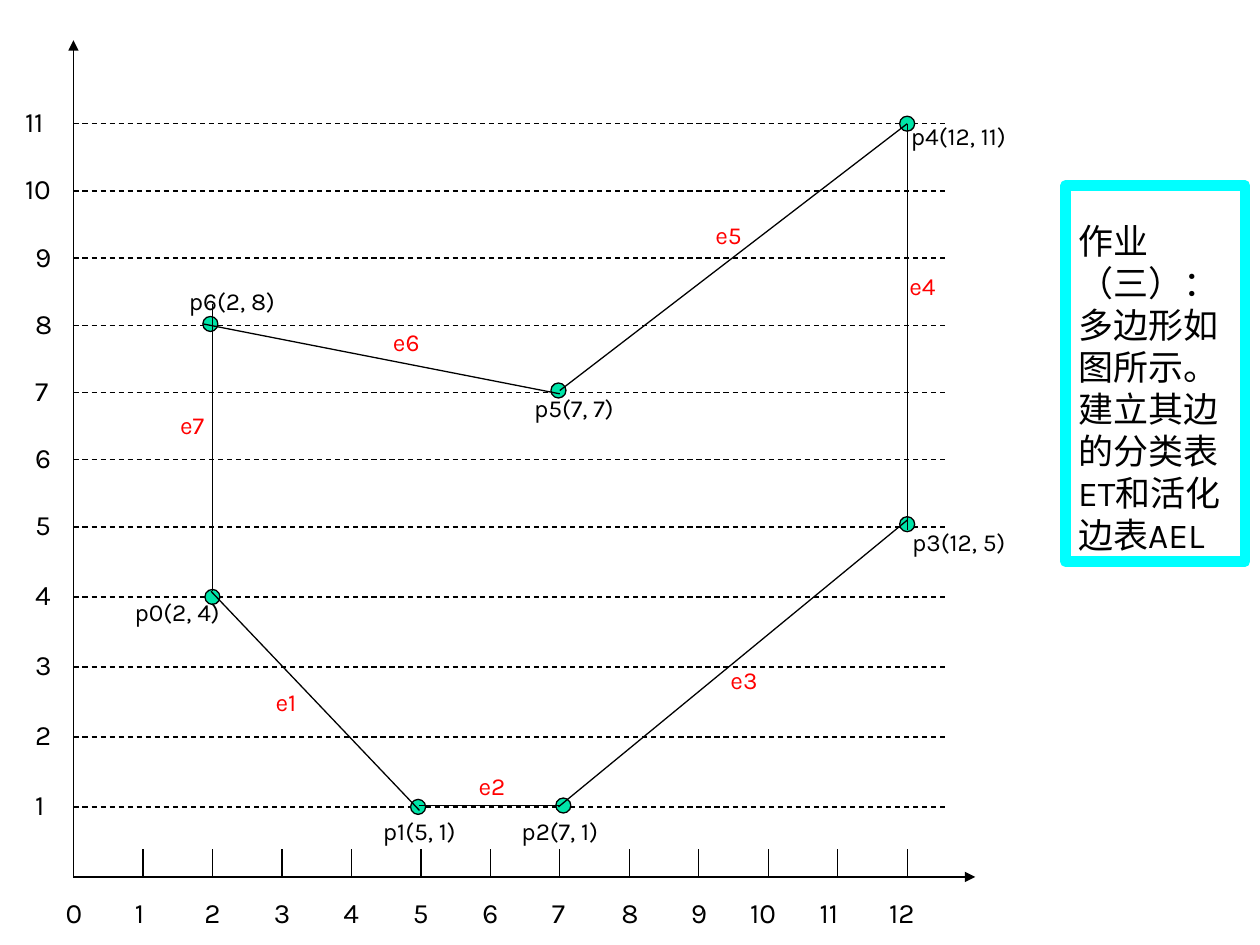
from lxml.etree import SubElement
from pptx import Presentation
from pptx.dml.color import RGBColor
from pptx.enum.dml import MSO_LINE_DASH_STYLE as Dash
from pptx.enum.shapes import MSO_CONNECTOR as Connector, MSO_SHAPE as Shape
from pptx.enum.text import MSO_ANCHOR as Anchor, PP_ALIGN as Align
from pptx.oxml.ns import qn
from pptx.util import Pt

COLOURS = {"ink": "000000", "edge": "FF0000", "vertex": "00E4A8", "frame": "00FFFF"}
FONT = "Karla"
COLUMN_STEP = 39.7
LOWER_STEP, UPPER_STEP, STEP_CHANGE = 40, 38.4, 5
COLUMNS, ROWS = 12, 11
MARKER = 8.6
TASK = "作业（三）：多边形如图所示。建立其边的分类表ET和活化边表AEL"

# Each vertex: text, position on the grid, label offset, label width.
VERTICES = [
    ("p0(2, 4)", (2, 4), (-51.6, -3.4), 73.4),
    ("p1(5, 1)", (4.96, 1), (-27.2, 1.9), 73.4),
    ("p2(7, 1)", (7.05, 1.02), (-31, 2.7), 73.4),
    ("p3(12, 5)", (12, 5.04), (-4.3, -2.2), 73.4),
    ("p4(12, 11)", (12, 11), (-5, -5.2), 90.7),
    ("p5(7, 7)", (6.98, 7.03), (-21, -2.2), 90.7),
    ("p6(2, 8)", (1.97, 8.02), (-19.4, -25.3), 73.4),
]
# Each edge: text, start and end on the grid, label offset from its middle.
EDGES = [
    ("e1", (1.98, 4.08), (4.98, 0.95), (-29.7, -11.6)),
    ("e2", (4.98, 1.02), (7, 1.02), (-13.4, -23.1)),
    ("e3", (6.98, 1), (12, 5.1), (-8.4, -2.6)),
    ("e4", (12, 11), (12, 4.95), (-5.8, -35.7)),
    ("e5", (7, 7.03), (12, 11), (-17.4, -24.6)),
    ("e6", (1.87, 8.02), (7, 6.98), (-0.6, -21.5)),
    ("e7", (2, 4.08), (2, 8.32), (-25.6, -25.2)),
]


def colour(name):
    """Return the named colour."""
    return RGBColor.from_string(COLOURS[name])


def add_text(slide, text, box, size=14, ink="ink", anchor=Anchor.TOP, spacing=None):
    """Add a wrapped text box and return it."""
    shape = slide.shapes.add_textbox(*map(Pt, box))
    frame = shape.text_frame
    frame.word_wrap = True
    frame.vertical_anchor = anchor
    paragraph = frame.paragraphs[0]
    paragraph.alignment = Align.LEFT
    if spacing:
        paragraph.line_spacing = Pt(spacing)
    run = paragraph.add_run()
    run.text = text
    run.font.name = FONT
    run.font.size = Pt(size)
    run.font.color.rgb = colour(ink)
    return shape


def add_line(slide, start, end, dashed=False, arrow=False):
    """Add a thin straight line, optionally dashed or with an arrow at its end."""
    line = slide.shapes.add_connector(Connector.STRAIGHT, *map(Pt, (*start, *end)))
    line.line.width = Pt(0.75)
    line.line.color.rgb = colour("ink")
    if dashed:
        line.line.dash_style = Dash.DASH
    if arrow:
        SubElement(line.line._get_or_add_ln(), qn("a:tailEnd"), type="triangle")
    SubElement(line._element.spPr, qn("a:effectLst"))


def grid_point(box, position):
    """Convert a grid position to slide points inside the box."""
    left, top, width, height = box
    column, row = position
    rise = LOWER_STEP * min(row, STEP_CHANGE) + UPPER_STEP * max(row - STEP_CHANGE, 0)
    return left + COLUMN_STEP * column, top + height - rise


def add_axes(slide, box):
    """Draw the axes, dashed rows, ticks and numbers."""
    left, top, width, height = box
    bottom = top + height
    add_line(slide, (left, bottom), (left + width, bottom), arrow=True)
    add_line(slide, (left, bottom), (left, top), arrow=True)
    for row in range(1, ROWS + 1):
        x, y = grid_point(box, (0, row))
        add_line(slide, (x, y), (x + 499, y), dashed=True)
        indent, label_width = (29, 22.3) if row < 10 else (34.8, 39.6)
        add_text(slide, str(row), (x - indent, y - 14.4, label_width, 26.6), size=16)
    for column in range(COLUMNS + 1):
        x, y = grid_point(box, (column, 0))
        if column:
            add_line(slide, (x, y - 15.8), (x, y))
        label_width = 22.3 if column < 10 else 33.8
        label_box = (x - label_width / 2 - 0.5, y + 7.2, label_width, 26.6)
        add_text(slide, str(column), label_box, size=16)


def add_polygon(slide, box):
    """Draw the vertices and edges with their labels."""
    for text, position, (shift_x, shift_y), label_width in VERTICES:
        x, y = grid_point(box, position)
        marker_box = (x - MARKER / 2, y - MARKER / 2, MARKER, MARKER)
        marker = slide.shapes.add_shape(Shape.OVAL, *map(Pt, marker_box))
        marker.shadow.inherit = False
        marker.fill.solid()
        marker.fill.fore_color.rgb = colour("vertex")
        marker.line.color.rgb = colour("ink")
        marker.line.width = Pt(0.75)
        add_text(slide, text, (x + shift_x, y + shift_y, label_width, 24.5))
    for text, start, end, (shift_x, shift_y) in EDGES:
        start, end = grid_point(box, start), grid_point(box, end)
        add_line(slide, start, end)
        x, y = ((a + b) / 2 for a, b in zip(start, end))
        add_text(slide, text, (x + shift_x, y + shift_y, 33.8, 24.5), ink="edge")


def add_task(slide, box):
    """Add the framed homework text."""
    shape = add_text(slide, TASK, box, size=20, anchor=Anchor.BOTTOM, spacing=24)
    shape.line.color.rgb = colour("frame")
    shape.line.width = Pt(6)


def main():
    """Build and save the slide."""
    presentation = Presentation()
    presentation.slide_width, presentation.slide_height = Pt(720), Pt(540)
    slide = presentation.slides.add_slide(presentation.slide_layouts[6])
    add_task(slide, (609, 106, 102.5, 215))
    graph_box = (42, 23, 515.3, 478.1)
    add_axes(slide, graph_box)
    add_polygon(slide, graph_box)
    presentation.save("out.pptx")


if __name__ == "__main__":
    main()
